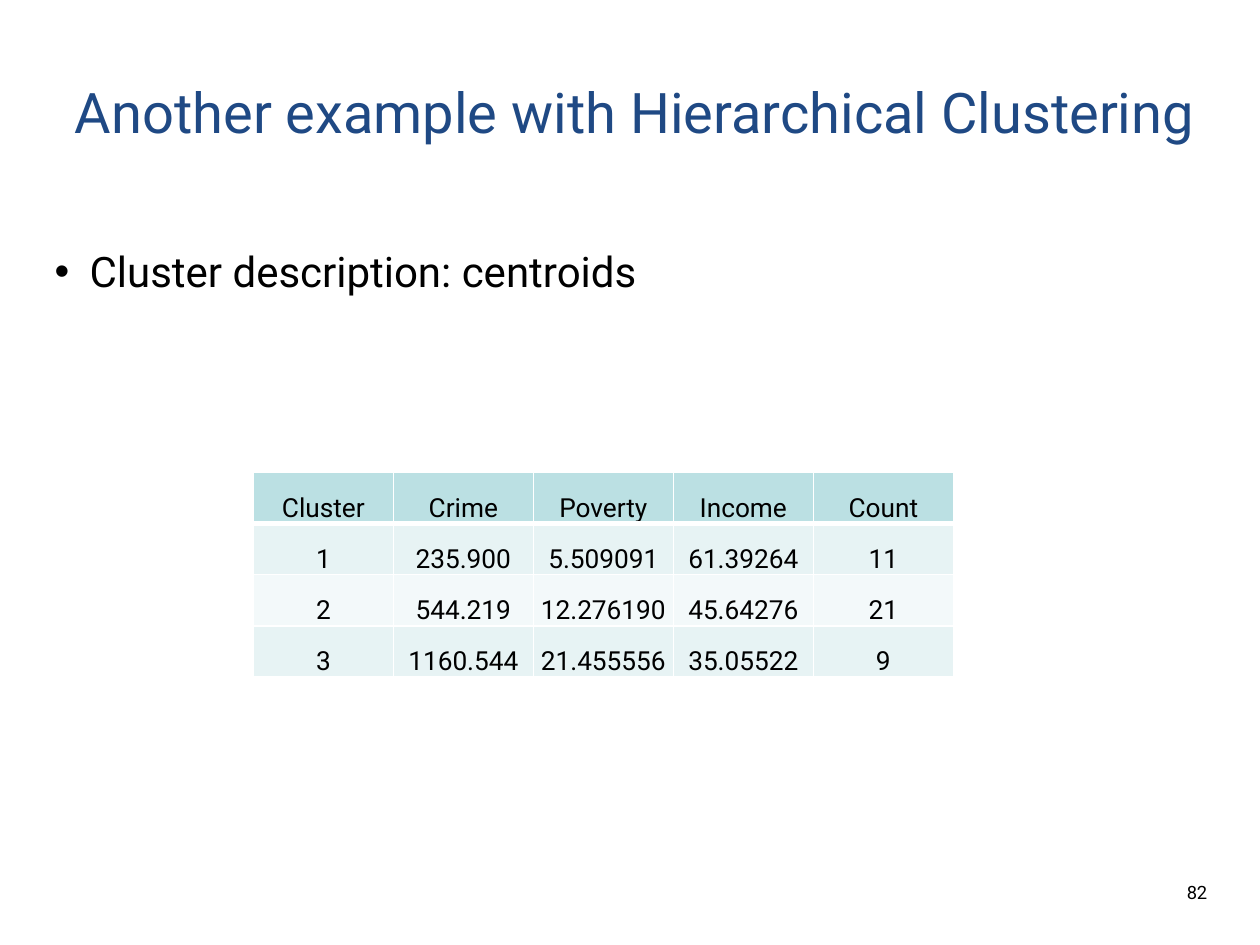
import dataclasses

import lxml.etree
import pptx
import pptx.dml.color
import pptx.enum.text
import pptx.oxml.ns
import pptx.slide
import pptx.table
import pptx.text.text
import pptx.util

Pt = pptx.util.Pt
RGBColor = pptx.dml.color.RGBColor
Align = pptx.enum.text.PP_ALIGN
Anchor = pptx.enum.text.MSO_ANCHOR
qn = pptx.oxml.ns.qn

FONT = "Roboto"
NAVY = RGBColor(0x1F, 0x49, 0x84)
BLACK = RGBColor(0, 0, 0)
WHITE = RGBColor(255, 255, 255)
HEADER_FILL = RGBColor(0xBB, 0xE0, 0xE3)
ODD_FILL = RGBColor(0xE7, 0xF3, 0xF4)
EVEN_FILL = RGBColor(0xF3, 0xF9, 0xFA)
COLUMN_WIDTH = 80
ROW_HEIGHT = 29.2


@dataclasses.dataclass(frozen=True)
class Area:
    left: float
    top: float
    width: float
    height: float

    def lengths(self) -> list[pptx.util.Length]:
        return [Pt(value) for value in dataclasses.astuple(self)]


@dataclasses.dataclass(frozen=True)
class TableRow:
    values: tuple[str, ...]
    fill: RGBColor
    bottom_border: float = 1


ROWS = [
    TableRow(("Cluster", "Crime", "Poverty", "Income", "Count"), HEADER_FILL, 3),
    TableRow(("1", "235.900", "5.509091", "61.39264", "11"), ODD_FILL),
    TableRow(("2", "544.219", "12.276190", "45.64276", "21"), EVEN_FILL),
    TableRow(("3", "1160.544", "21.455556", "35.05522", "9"), ODD_FILL),
]


def write_text(
    frame: pptx.text.text.TextFrame,
    text: str,
    *,
    size: float,
    color: RGBColor = BLACK,
    align: Align = Align.CENTER,
    bullet: str = "",
    indent: float = 0,
) -> None:
    para = frame.paragraphs[0]
    if bullet:
        properties = para._p.get_or_add_pPr()
        properties.set("marL", str(Pt(indent)))
        properties.set("indent", str(-Pt(indent)))
        lxml.etree.SubElement(properties, qn("a:buChar"), char=bullet)
    para.alignment = align
    para.space_before = Pt(0)
    span = para.add_run()
    span.text = text
    span.font.name = FONT
    span.font.size = Pt(size)
    span.font.color.rgb = color


def place(box, area: Area, wrap: bool = True) -> pptx.text.text.TextFrame:
    box.left, box.top, box.width, box.height = area.lengths()
    frame = box.text_frame
    frame.word_wrap = wrap
    frame.auto_size = pptx.enum.text.MSO_AUTO_SIZE.NONE
    frame.vertical_anchor = Anchor.MIDDLE
    return frame


def add_border(cell: pptx.table._Cell, side: str, width: float) -> None:
    properties = cell._tc.get_or_add_tcPr()
    line = lxml.etree.SubElement(properties, qn(f"a:ln{side}"), w=str(Pt(width)))
    fill = lxml.etree.SubElement(line, qn("a:solidFill"))
    lxml.etree.SubElement(fill, qn("a:srgbClr"), val=str(WHITE))


def format_cell(
    cell: pptx.table._Cell, text: str, row: TableRow, top_border: float
) -> None:
    borders = {"L": 1, "R": 1, "T": top_border, "B": row.bottom_border}
    for side, width in borders.items():
        add_border(cell, side, width)
    cell.fill.solid()
    cell.fill.fore_color.rgb = row.fill
    cell.vertical_anchor = Anchor.BOTTOM
    cell.margin_left = cell.margin_right = cell.margin_top = Pt(0.75)
    cell.margin_bottom = Pt(0)
    write_text(cell.text_frame, text, size=15)


def add_centroid_table(page: pptx.slide.Slide, left: float, top: float) -> None:
    column_count = len(ROWS[0].values)
    area = Area(left, top, COLUMN_WIDTH * column_count, ROW_HEIGHT * len(ROWS))
    table = page.shapes.add_table(len(ROWS), column_count, *area.lengths()).table
    table.first_row = False
    table.horz_banding = False
    for column in table.columns:
        column.width = Pt(COLUMN_WIDTH)
    top_border = 1
    for row_index, row in enumerate(ROWS):
        table.rows[row_index].height = Pt(ROW_HEIGHT)
        for column_index, text in enumerate(row.values):
            format_cell(table.cell(row_index, column_index), text, row, top_border)
        top_border = row.bottom_border


def main() -> None:
    deck = pptx.Presentation()
    deck.slide_width, deck.slide_height = Pt(720), Pt(540)
    page = deck.slides.add_slide(deck.slide_layouts[1])

    title = place(page.shapes.title, Area(24, 24, 678, 78.5))
    write_text(title, "Another example with Hierarchical Clustering", size=32, color=NAVY)

    body = place(page.placeholders[1], Area(24, 126, 678, 57.6))
    body.margin_right = Pt(0)
    write_text(
        body,
        "Cluster description: centroids",
        size=24,
        align=Align.LEFT,
        bullet="•",
        indent=20,
    )

    number_area = Area(654, 492, 60, 36)
    number_box = page.shapes.add_textbox(*number_area.lengths())
    write_text(place(number_box, number_area, wrap=False), "82", size=10.5)

    add_centroid_table(page, 144.8, 270)
    deck.save("out.pptx")


if __name__ == "__main__":
    main()
